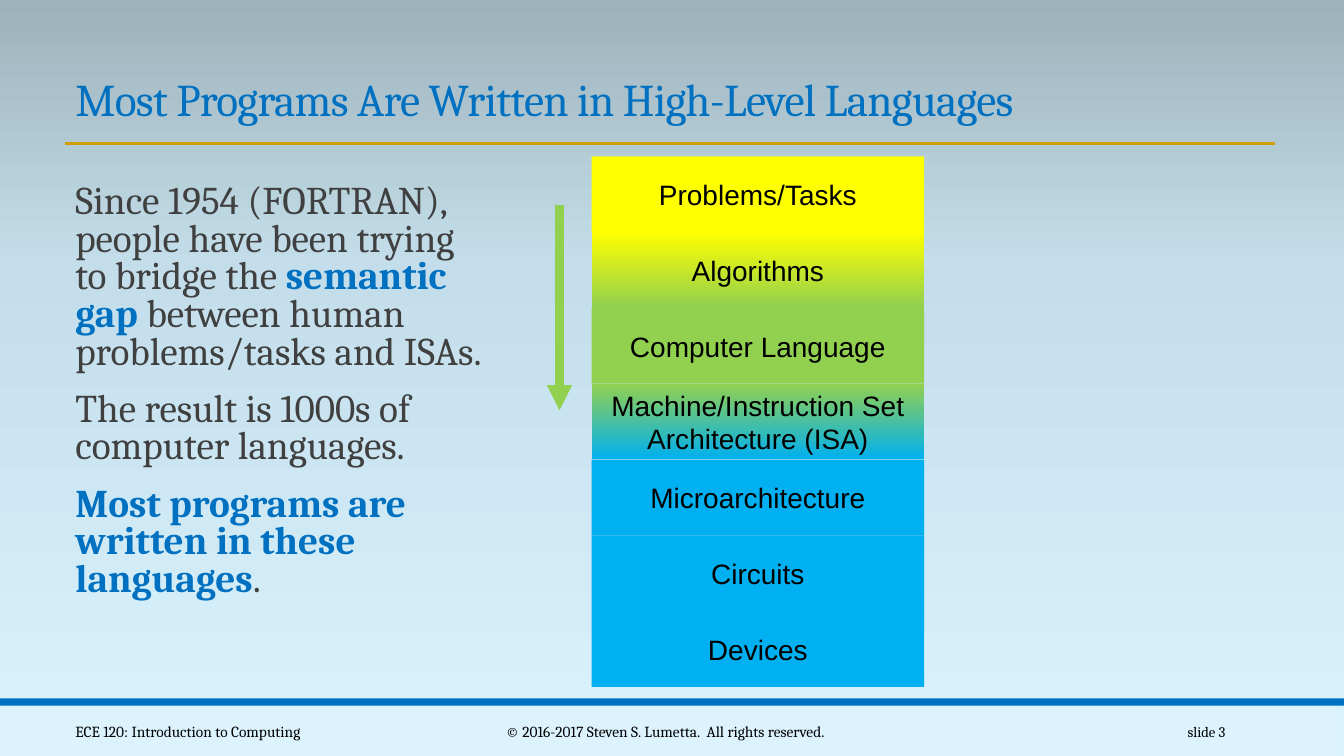
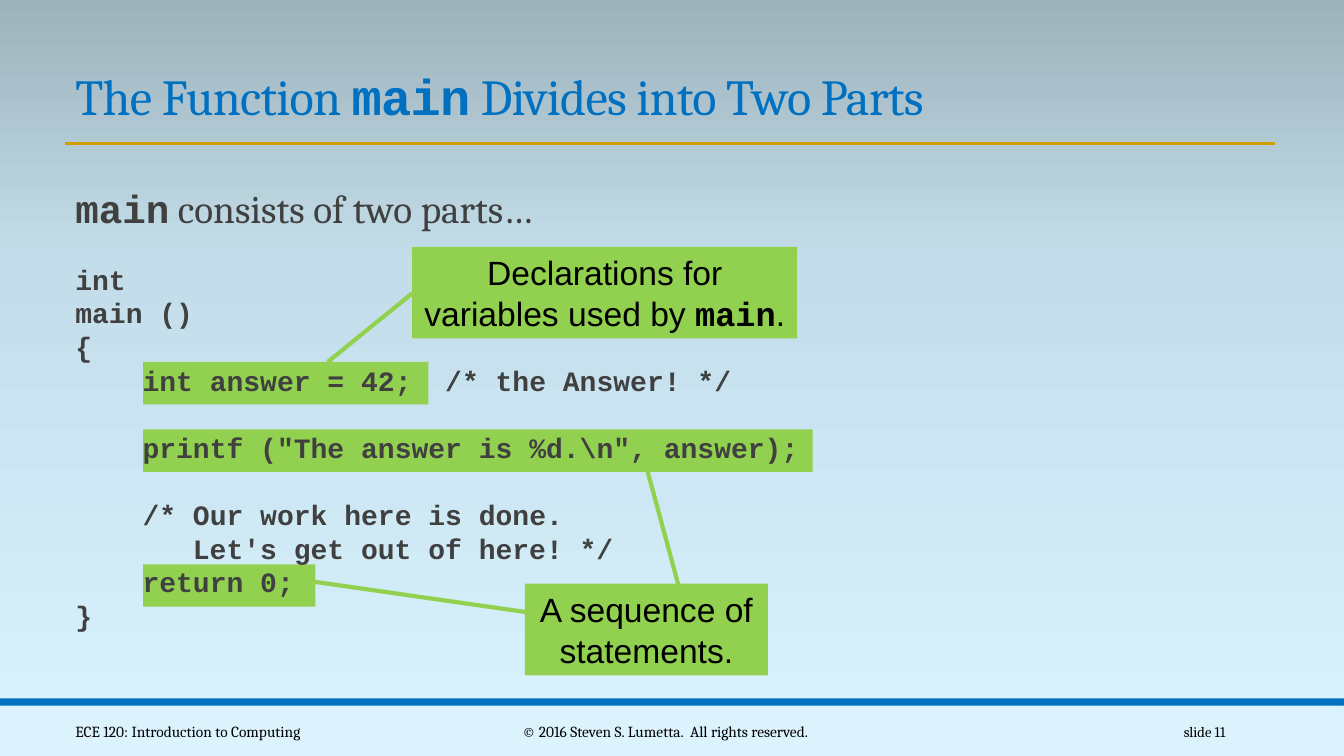
from copy import deepcopy

from lxml.etree import SubElement
from pptx import Presentation
from pptx.enum.shapes import MSO_CONNECTOR as LINK, MSO_SHAPE as SHAPE
from pptx.enum.text import MSO_ANCHOR as ANCHOR, PP_ALIGN as ALIGN
from pptx.dml.color import RGBColor as RGB
from pptx.oxml.ns import qn
from pptx.util import Cm, Pt

BLUE, GREEN, SKY, YELLOW = "0070C0", "92D050", "00B0F0", "FFFF00"
GOLD, PALE, GREY, BLACK = "D09E00", "DCF3FD", "404040", "000000"
SERIF = {"name": "Cambria", "bold": False}
SANS = {"name": "Arial", "color": BLACK}
MONO = {"name": "Courier New", "bold": True}
STRONG = {"color": BLUE, "bold": True}


def paint(fill, *hexes):
    """Solid fill for one colour, a bottom-to-top gradient for several."""
    if len(hexes) == 1:
        fill.solid()
        fill.fore_color.rgb = RGB.from_string(hexes[0])
        return
    fill.gradient()
    fill.gradient_angle = 90
    for stop, tone in zip(fill.gradient_stops, hexes):
        stop.color.rgb = RGB.from_string(tone)


def write(shape, rows, font, anchor=ANCHOR.MIDDLE, wrap=True):
    """Each row is (paragraph format, spans); a span is (text, font changes)."""
    frame = shape.text_frame
    frame.word_wrap, frame.vertical_anchor = wrap, anchor
    for i, (form, spans) in enumerate(rows):
        para = frame.add_paragraph() if i else frame.paragraphs[0]
        for key, val in form.items():
            if key == "indent":
                para._p.get_or_add_pPr().set("marL", str(val))
            else:
                setattr(para, key, val)
        for text, style in spans:
            for j, part in enumerate(text.split("\n")):
                if j:
                    para.add_line_break()
                if not part:
                    continue
                run = para.add_run()
                run.text = part
                for key, val in (font | style).items():
                    if key == "color":
                        paint(run.font.fill, val)
                    else:
                        setattr(run.font, key, val)


# Slide content: boxes are (left, top, width, height, fills, size, spans),
# lines are (x1, y1, x2, y2, colour, width, arrow), all in cm and points.
LAYERS = [
    ("Problems/Tasks", [YELLOW]),
    ("Algorithms", [GREEN, YELLOW]),
    ("Computer Language", [GREEN]),
    ("Machine/Instruction Set\nArchitecture (ISA)", [SKY, GREEN]),
    ("Microarchitecture", [SKY]),
    ("Circuits", [SKY]),
    ("Devices", [SKY]),
]
STEP = 1.91
stack = [(14.91, 3.94 + i * STEP, 8.38, STEP, fills, 20, [(name, {})])
         for i, (name, fills) in enumerate(LAYERS)]

EDGE = Cm(0.25)
prose = {"indent": EDGE, "line_spacing": 0.8,
         "space_before": Pt(12), "space_after": Pt(2)}
story = [
    (prose, [("Since 1954 (FORTRAN),\npeople have been trying\nto bridge the ", {}),
             ("semantic\ngap ", STRONG),
             ("between human\nproblems/tasks and ISAs.", {})]),
    (prose, [("The result is 1000s of\ncomputer languages.", {})]),
    (prose, [("Most programs are\nwritten in these\nlanguages", STRONG), (".", {})]),
]

# Code lines: columns of indent, points of space before, text
CODE = [
    (0, 22, "int"),
    (0, 0, "main ()"),
    (0, 0, "{"),
    (4, 0, "int answer = 42;  /* the Answer! */"),
    (4, 24, 'printf ("The answer is %d.\\n", answer);'),
    (4, 24, "/* Our work here is done."),
    (7, 0, "Let's get out of here! */"),
    (4, 0, "return 0;"),
    (0, 0, "}"),
]
listing = [({"indent": EDGE}, [("main", MONO), (" consists of two parts…", {})])]
for cols, gap, text in CODE:
    form = {"indent": EDGE + cols * Pt(12), "line_spacing": Pt(24),
            "space_before": Pt(gap)}
    listing.append((form, [(text, MONO | {"size": Pt(20)})]))

marks = [(3.61, top, width, 1.07, [GREEN], 20, [])
         for top, width in [(9.12, 7.19), (10.82, 16.87), (14.22, 4.34)]]
notes = [
    (10.39, 6.22, 9.7, 2.31, [GREEN], 24,
     [("Declarations for\nvariables used by ", {}), ("main", MONO), (".", {})]),
    (13.23, 14.71, 6.12, 2.31, [GREEN], 24, [("A sequence of\nstatements.", {})]),
]
ties = [(*ends, GREEN, 3, False) for ends in [
    (8.26, 9.12, 10.39, 7.39),
    (17.12, 14.83, 16.31, 11.84),
    (13.23, 15.42, 7.92, 14.66),
]]

PAGES = [
    {"title": [("Most Programs Are Written in High-Level Languages", {})],
     "size": 32.4, "years": "2016-2017", "number": 3, "boxes": stack,
     "lines": [(14.1, 5.16, 14.1, 10.34, GREEN, 6, True)], "body": story},
    {"title": [("The Function ", {}), ("main", MONO),
               (" Divides into Two Parts", {})],
     "size": 36, "years": "2016", "number": 11, "boxes": marks + notes,
     "lines": ties, "body": listing},
]
BANDS = [
    (-0.15, 17.78, 33.87, 1.27, [PALE], 11, []),
    (0, 17.6, 33.87, 0.18, [BLUE], 11, []),
]
RULE = (1.65, 3.61, 32.13, 3.61, GOLD, 2, False)

deck = Presentation()
deck.slide_width, deck.slide_height = Cm(33.87), Cm(19.05)

# Background shared through the master, with a third stop in the middle
master = deck.slide_master
back = master.background.fill
paint(back, "DAF4FF", "9DB2BA")
stops = master.element.find(".//" + qn("a:gsLst"))
stops.insert(1, deepcopy(stops[0]))
paint(back, "DAF4FF", "C3DEEA", "9DB2BA")
for stop, spot in zip(back.gradient_stops, (0, 0.65, 1)):
    stop.position = spot

for page in PAGES:
    slide = deck.slides.add_slide(deck.slide_layouts[6])
    shapes = slide.shapes

    for *place, fills, size, spans in BANDS + page["boxes"]:
        box = shapes.add_shape(SHAPE.RECTANGLE, *map(Cm, place))
        box.shadow.inherit = False
        box.line.fill.background()
        paint(box.fill, *fills)
        if spans:
            write(box, [({"alignment": ALIGN.CENTER}, spans)],
                  SANS | {"size": Pt(size)}, wrap=False)

    for *ends, color, width, arrow in [RULE] + page["lines"]:
        link = shapes.add_connector(LINK.STRAIGHT, *map(Cm, ends))
        paint(link.line.fill, color)
        link.line.width = Pt(width)
        if arrow:
            SubElement(link.line._get_or_add_ln(), qn("a:tailEnd"), type="triangle")
        SubElement(link._element.spPr, qn("a:effectLst"))

    title = shapes.add_textbox(Cm(1.65), Cm(1.5), Cm(30.5), Cm(1.8))
    write(title, [({"line_spacing": 0.85}, page["title"])],
          SERIF | {"size": Pt(page["size"]), "color": BLUE}, ANCHOR.BOTTOM)
    for run in title.text_frame.paragraphs[0].runs:
        run._r.get_or_add_rPr().set("spc", "-50")

    body = shapes.add_textbox(Cm(1.65), Cm(4.52), Cm(21.64), Cm(11.79))
    body.text_frame.margin_left = body.text_frame.margin_right = 0
    write(body, page["body"], SERIF | {"size": Pt(28), "color": GREY}, ANCHOR.TOP)

    rights = f"© {page['years']} Steven S. Lumetta.  All rights reserved."
    for left, width, side, size, text in [
        (1.65, 8.25, ALIGN.LEFT, 11, "ECE 120: Introduction to Computing"),
        (10.24, 13.06, ALIGN.CENTER, 11, rights),
        (27.5, 3.63, ALIGN.RIGHT, 10.5, f"slide {page['number']}"),
    ]:
        foot = shapes.add_textbox(Cm(left), Cm(17.93), Cm(width), Cm(1.02))
        write(foot, [({"alignment": side}, [(text, {})])],
              SERIF | {"size": Pt(size), "color": BLACK})

deck.save("out.pptx")
